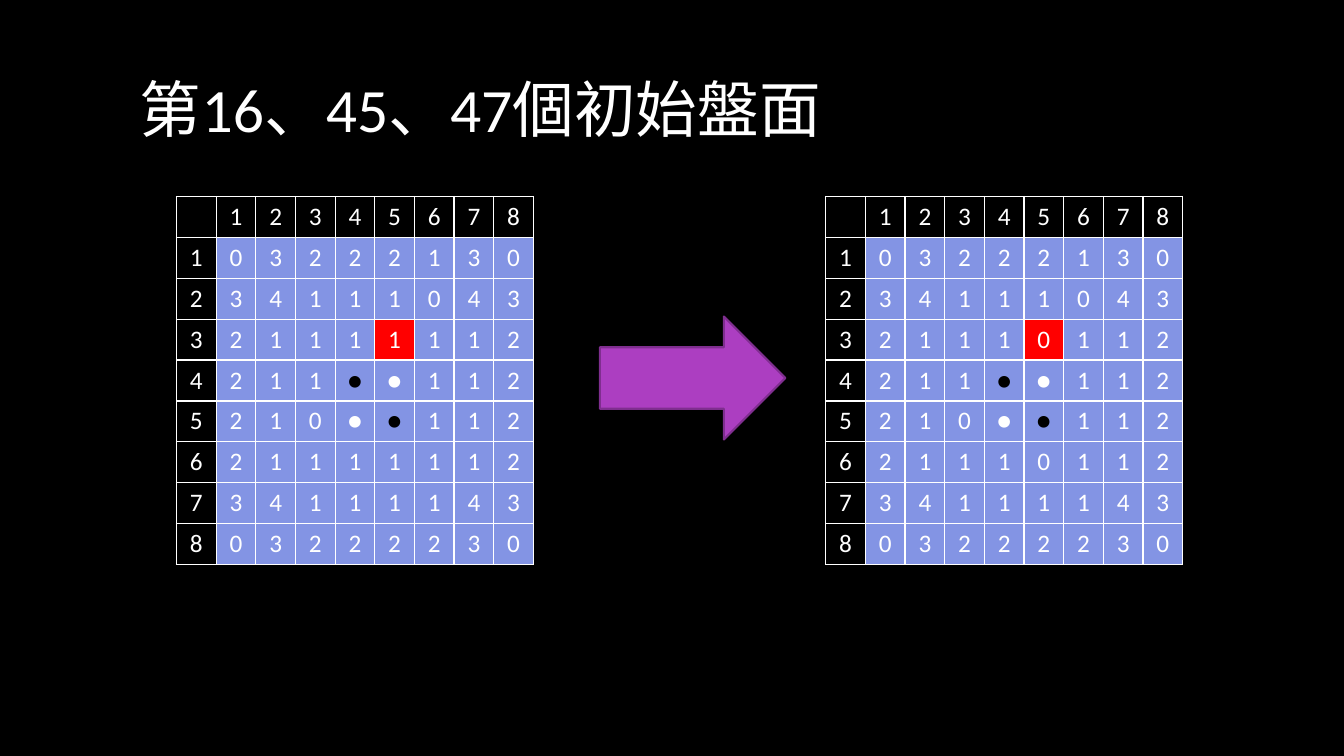
from dataclasses import dataclass
from typing import Any

from lxml.etree import SubElement
from pptx import Presentation
from pptx.dml.color import RGBColor
from pptx.enum.shapes import MSO_SHAPE
from pptx.enum.text import MSO_ANCHOR, MSO_AUTO_SIZE, PP_ALIGN
from pptx.oxml.ns import qn
from pptx.util import Inches, Pt

WIDE, HIGH = Inches(13.33), Inches(7.5)
GRID = 100
SIDE = 9
HUES = {
    "black": "000000",
    "white": "FFFFFF",
    "cell": "8394E4",
    "mark": "FF0000",
    "arrow": "AC3EC1",
    "edge": "7F2E8F",
}
DISCS = {"B": "black", "W": "white"}
TEXT = {"name": "Calibri", "bold": False}
FLAGS = dict.fromkeys(("first_row", "horz_banding"), False)
FRAME = {"word_wrap": True, "auto_size": MSO_AUTO_SIZE.SHAPE_TO_FIT_TEXT}


@dataclass(frozen=True)
class Box:
    col: float
    row: float
    cols: float
    rows: float

    def spans(self) -> tuple[int, ...]:
        return (
            int(self.col * WIDE / GRID),
            int(self.row * HIGH / GRID),
            int(self.cols * WIDE / GRID),
            int(self.rows * HIGH / GRID),
        )


@dataclass(frozen=True)
class Board:
    box: Box
    third: str
    sixth: str

    def lines(self) -> list[str]:
        return [
            "03222130", "34111043", self.third, "211BW112",
            "210WB112", self.sixth, "34111143", "03222230",
        ]


BOARDS = [
    Board(Box(13.13, 26, 26.56, 48), "21111112", "21111112"),
    Board(Box(61.44, 26, 26.56, 48), "21110112", "21110112"),
]
MARK = (3, 5)


def tint(name: str) -> RGBColor:
    return RGBColor.from_string(HUES[name])


def assign(item: Any, form: dict[str, Any]) -> None:
    for key, value in form.items():
        setattr(item, key, value)


def paint(item: Any, name: str) -> None:
    item.fill.solid()
    item.fill.fore_color.rgb = tint(name)


def write(frame: Any, text: str, size: int, hue: str, align: Any) -> None:
    line = frame.paragraphs[0]
    line.alignment = align
    run = line.add_run()
    run.text = text
    assign(run.font, TEXT | {"size": Pt(size)})
    run.font.color.rgb = tint(hue)


def border(cell: Any) -> None:
    props = cell._tc.get_or_add_tcPr()
    for side in "LRTB":
        rule = SubElement(props, qn(f"a:ln{side}"), w=str(Pt(1)))
        fill = SubElement(rule, qn("a:solidFill"))
        SubElement(fill, qn("a:srgbClr"), val=HUES["white"])


def draw_board(slide: Any, board: Board) -> None:
    left, top, width, height = board.box.spans()
    table = slide.shapes.add_table(SIDE, SIDE, left, top, width, height).table
    assign(table, FLAGS)
    heads = "12345678"
    rows = [" " + heads] + [h + line for h, line in zip(heads, board.lines())]
    for r, line in enumerate(rows):
        for c, sign in enumerate(line):
            cell = table.cell(r, c)
            border(cell)
            if r and c:
                paint(cell, "mark" if (r, c) == MARK else "cell")
            else:
                cell.fill.background()
            if sign != " ":
                text = "●" if sign in DISCS else sign
                hue = DISCS.get(sign, "white")
                write(cell.text_frame, text, 18, hue, PP_ALIGN.CENTER)


def draw_arrow(slide: Any, box: Box) -> None:
    arrow = slide.shapes.add_shape(MSO_SHAPE.RIGHT_ARROW, *box.spans())
    arrow.shadow.inherit = False
    paint(arrow, "arrow")
    arrow.line.color.rgb = tint("edge")
    arrow.line.width = Pt(1.5)


def draw_title(slide: Any, box: Box, text: str) -> None:
    frame = slide.shapes.add_textbox(*box.spans()).text_frame
    assign(frame, FRAME | {"vertical_anchor": MSO_ANCHOR.MIDDLE})
    write(frame, text, 44, "white", PP_ALIGN.LEFT)


def main() -> None:
    deck = Presentation()
    assign(deck, {"slide_width": WIDE, "slide_height": HIGH})
    slide = deck.slides.add_slide(deck.slide_layouts[6])
    paint(slide.background, "black")
    for board in BOARDS:
        draw_board(slide, board)
    draw_arrow(slide, Box(44.64, 41.87, 13.8, 16.27))
    draw_title(slide, Box(9.68, 8.67, 78.32, 11.2), "第16、45、47個初始盤面")
    deck.save("out.pptx")


if __name__ == "__main__":
    main()
